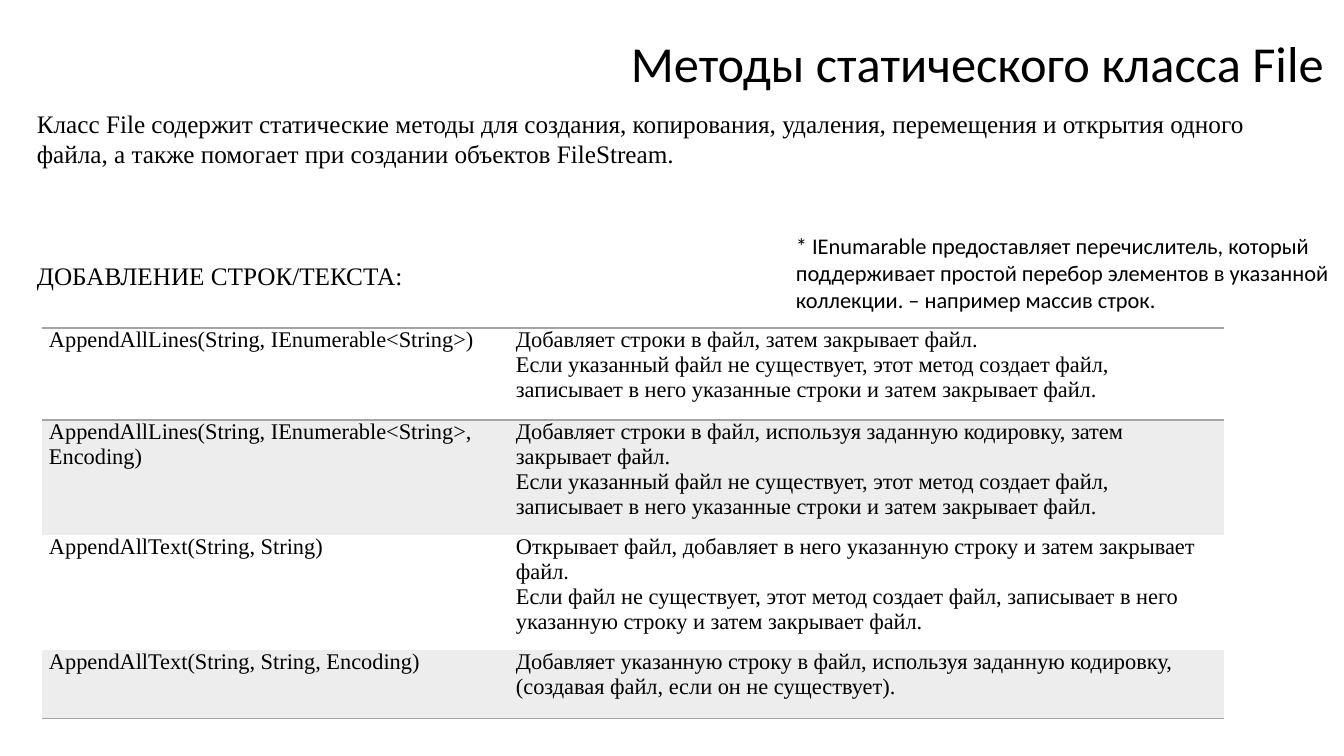
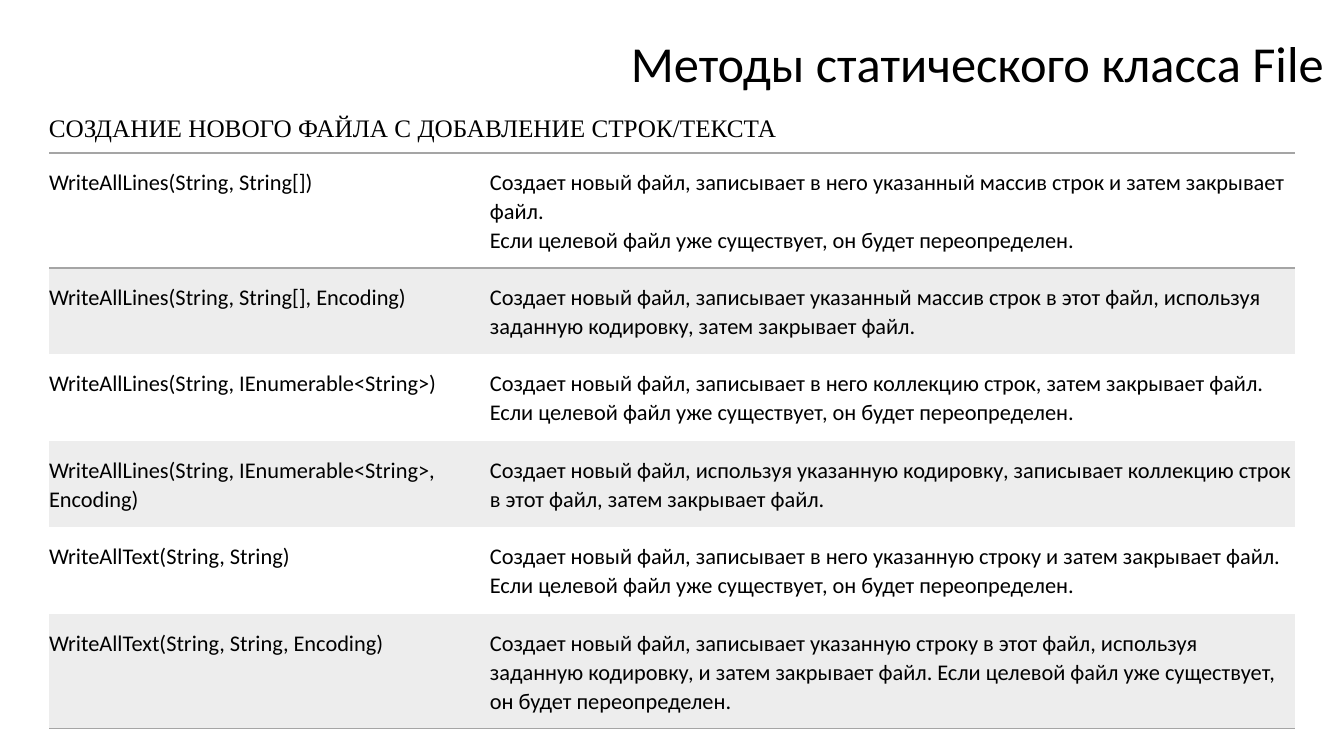
from lxml import etree
from pptx import Presentation
from pptx.dml.color import RGBColor
from pptx.enum.text import MSO_ANCHOR, PP_ALIGN
from pptx.oxml.ns import qn
from pptx.util import Emu, Pt

LEFT, CENTER = PP_ALIGN.LEFT, PP_ALIGN.CENTER
TOP, MIDDLE = MSO_ANCHOR.TOP, MSO_ANCHOR.MIDDLE
COLORS = {"text": "000000", "rule": "A5A5A5", "band": "EDEDED"}
SANS, SERIF = "Calibri", "Times New Roman"
PLAIN_TABLE = "{2D5ABB26-0587-4C30-8999-92F81FD0307C}"
TITLE = "Методы статического класса File"
TITLE_BOX = (610, 21, 735, 91)

REWRITES = "Если целевой файл уже существует, он будет переопределен."
CREATES = ("Если указанный файл не существует, этот метод создает файл, "
           "записывает в него указанные строки и затем закрывает файл.")

APPEND_METHODS = [
    ("AppendAllLines(String, IEnumerable<String>)",
     ["Добавляет строки в файл, затем закрывает файл.", CREATES]),
    ("AppendAllLines(String, IEnumerable<String>, Encoding)",
     ["Добавляет строки в файл, используя заданную кодировку, затем закрывает файл.",
      CREATES]),
    ("AppendAllText(String, String)",
     ["Открывает файл, добавляет в него указанную строку и затем закрывает файл.",
      "Если файл не существует, этот метод создает файл, записывает в него "
      "указанную строку и затем закрывает файл."]),
    ("AppendAllText(String, String, Encoding)",
     ["Добавляет указанную строку в файл, используя заданную кодировку,",
      "(создавая файл, если он не существует)."]),
]
WRITE_METHODS = [
    ("WriteAllLines(String, String[])",
     ["Создает новый файл, записывает в него указанный массив строк и затем "
      "закрывает файл.", REWRITES]),
    ("WriteAllLines(String, String[], Encoding)",
     ["Создает новый файл, записывает указанный массив строк в этот файл, "
      "используя заданную кодировку, затем закрывает файл."]),
    ("WriteAllLines(String, IEnumerable<String>)",
     ["Создает новый файл, записывает в него коллекцию строк, затем закрывает файл.",
      REWRITES]),
    ("WriteAllLines(String, IEnumerable<String>, Encoding)",
     ["Создает новый файл, используя указанную кодировку, записывает коллекцию "
      "строк в этот файл, затем закрывает файл."]),
    ("WriteAllText(String, String)",
     ["Создает новый файл, записывает в него указанную строку и затем закрывает файл.",
      REWRITES]),
    ("WriteAllText(String, String, Encoding)",
     ["Создает новый файл, записывает указанную строку в этот файл, используя "
      "заданную кодировку, и затем закрывает файл. " + REWRITES]),
]


def px(n):
    """Turn pixels into EMU."""
    return Emu(round(n * 914400 / 100.8))


def rgb(name):
    """Look up a named colour."""
    return RGBColor.from_string(COLORS[name])


def write(tf, lines, font, size, align=LEFT, spacing=1.0, gap=0):
    """Write one paragraph per line, with gap points between them."""
    for i, line in enumerate(lines):
        p = tf.add_paragraph() if i else tf.paragraphs[0]
        p.alignment = align
        p.line_spacing = spacing
        p.space_before = Pt(gap if i else 0)
        r = p.add_run()
        r.text = line
        r.font.name = font
        r.font.size = Pt(size)
        r.font.color.rgb = rgb("text")


def add_text(s, box, lines, font, size, anchor=TOP, **style):
    """Place a wrapping text box."""
    tf = s.shapes.add_textbox(*map(px, box)).text_frame
    tf.word_wrap = True
    tf.vertical_anchor = anchor
    write(tf, lines, font, size, **style)


def add_rule(cell, side):
    """Draw a thin grey line on one side of a cell."""
    ln = etree.SubElement(cell._tc.get_or_add_tcPr(), qn("a:" + side), w=str(Pt(1)))
    fill = etree.SubElement(ln, qn("a:solidFill"))
    etree.SubElement(fill, qn("a:srgbClr"), val=COLORS["rule"])


def add_methods(s, box, methods, cols, rows, margins, font, spacing=1.0):
    """Place a banded table of methods; margins holds a cell inset per column."""
    frame = s.shapes.add_table(len(rows), len(cols), *map(px, box))
    table = frame.table
    table.first_row = table.horz_banding = False
    table._tbl.tblPr.find(qn("a:tableStyleId")).text = PLAIN_TABLE
    for column, width in zip(table.columns, cols):
        column.width = px(width)
    for i, (height, (name, about)) in enumerate(zip(rows, methods)):
        table.rows[i].height = px(height)
        for j, lines in enumerate(([name], about)):
            cell = table.cell(i, j)
            (cell.margin_left, cell.margin_top,
             cell.margin_right, cell.margin_bottom) = map(px, margins[j])
            if i == 0:
                add_rule(cell, "lnT")
            if i in (0, len(rows) - 1):
                add_rule(cell, "lnB")
            if i % 2:
                cell.fill.solid()
                cell.fill.fore_color.rgb = rgb("band")
            else:
                cell.fill.background()
            write(cell.text_frame, lines, font, 16, spacing=spacing)


def add_slide(prs):
    """Add a blank slide with the shared title."""
    s = prs.slides.add_slide(prs.slide_layouts[6])
    add_text(s, TITLE_BOX, [TITLE], SANS, 36, anchor=MIDDLE, align=CENTER, spacing=0.9)
    return s


def append_slide(prs):
    """Build the slide on methods that append."""
    s = add_slide(prs)
    intro = ("Класс File cодержит статические методы для создания, копирования, "
             "удаления, перемещения и открытия одного файла, а также помогает "
             "при создании объектов FileStream.")
    add_text(s, (27, 103, 1278, 194), [intro, "ДОБАВЛЕНИЕ СТРОК/ТЕКСТА:"],
             SERIF, 18, gap=66)
    add_methods(s, (42, 328, 1182, 392), APPEND_METHODS, (467, 715),
                (92, 115, 115, 69), [(7, 0, 7, 0)] * 2, SERIF)
    note = ("* IEnumarable предоставляет перечислитель, который поддерживает "
            "простой перебор элементов в указанной коллекции. – например массив строк.")
    add_text(s, (786, 227, 577, 92), [note], SANS, 16)


def write_slide(prs):
    """Build the slide on methods that create and write."""
    s = add_slide(prs)
    add_methods(s, (49, 153, 1246, 576), WRITE_METHODS, (441, 805),
                (115, 86, 87, 86, 87, 115), [(0, 14, 27, 14), (0, 14, 0, 14)],
                SANS, spacing=1.07)
    add_text(s, (39, 107, 755, 40), ["СОЗДАНИЕ НОВОГО ФАЙЛА С ДОБАВЛЕНИЕ СТРОК/ТЕКСТА"],
             SERIF, 18)


prs = Presentation()
prs.slide_width, prs.slide_height = px(1344), px(756)
append_slide(prs)
write_slide(prs)
prs.save("out.pptx")
